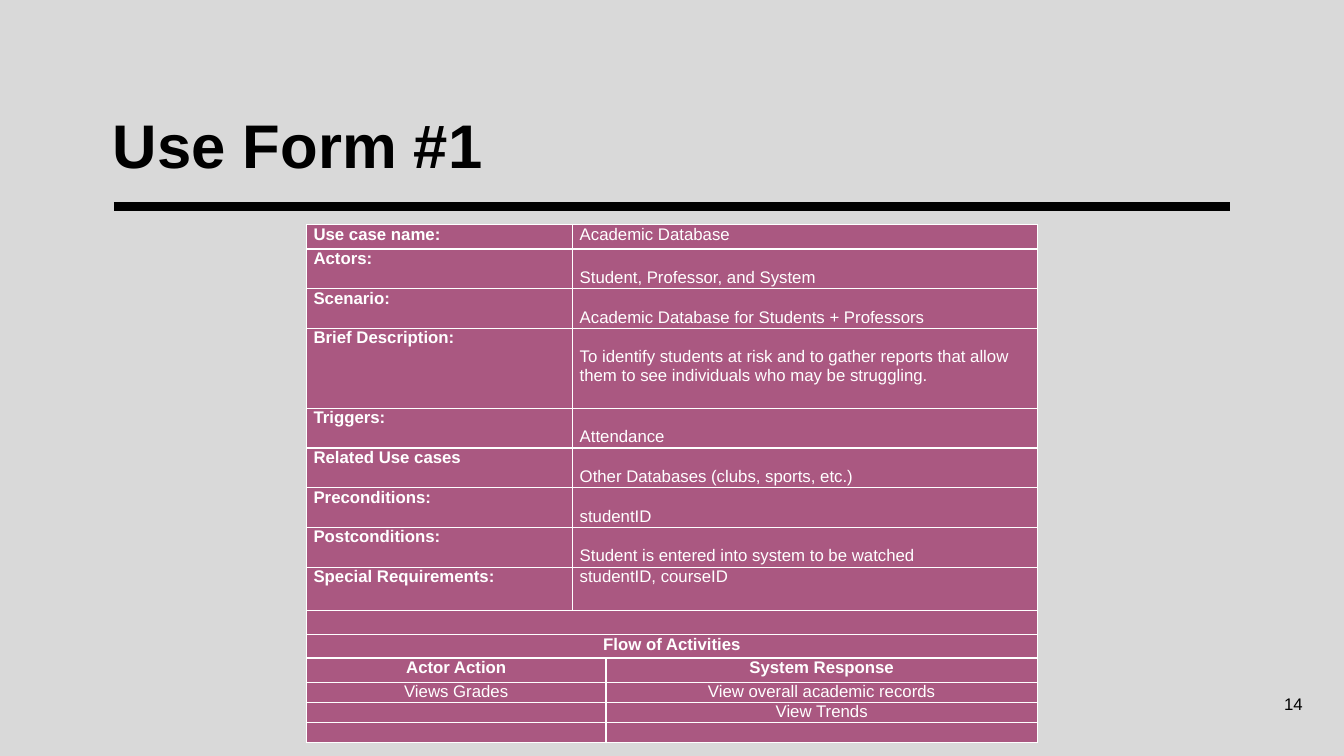
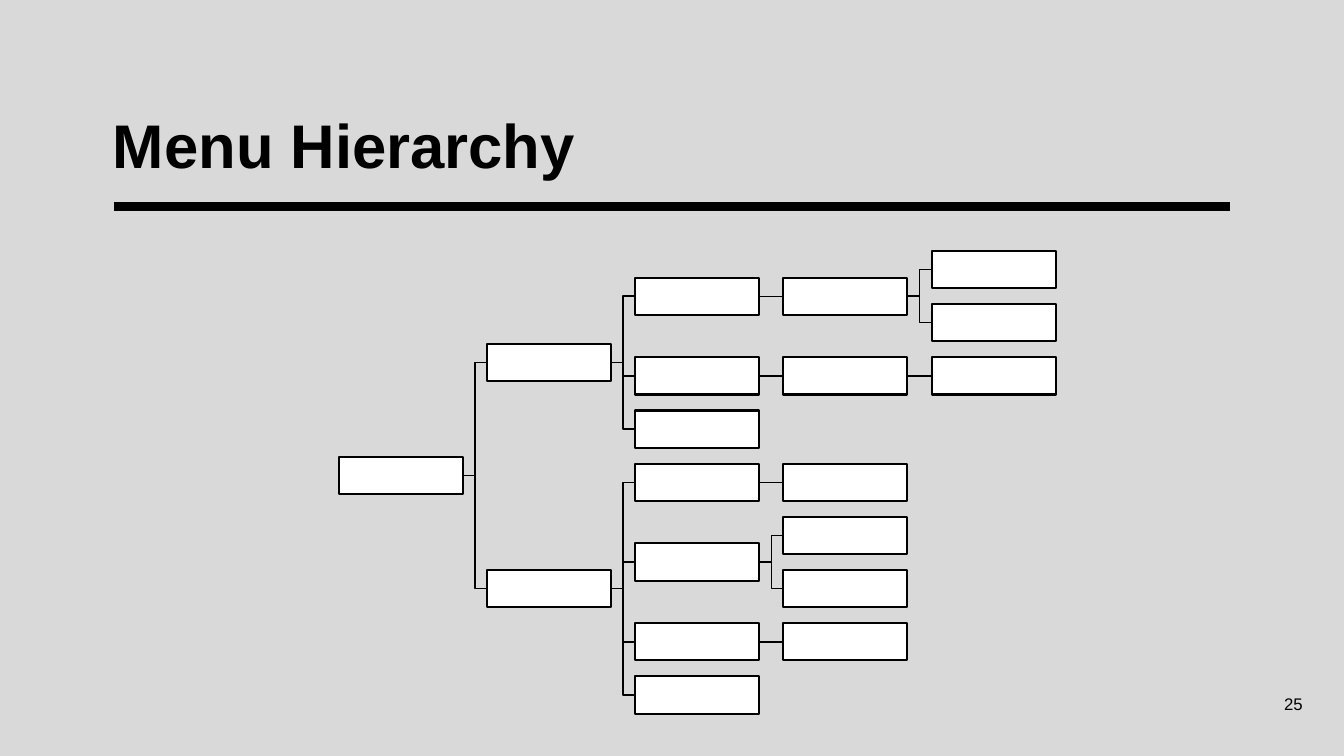
from lxml.etree import SubElement
from pptx import Presentation
from pptx.dml.color import RGBColor
from pptx.enum.shapes import MSO_CONNECTOR as Link, MSO_SHAPE as Shape
from pptx.enum.text import MSO_ANCHOR as Anchor, PP_ALIGN as Align
from pptx.oxml.ns import qn
from pptx.util import Inches, Pt

BLACK = RGBColor(0x00, 0x00, 0x00)
WHITE = RGBColor(0xFF, 0xFF, 0xFF)
GREY = RGBColor(0xD9, 0xD9, 0xD9)
PLUM = RGBColor(0xAA, 0x58, 0x81)
FONT = "Arial"

# Use form: label, value, row height, gap above the value
LINE = Inches(0.19)
DOUBLE = Inches(0.79)
SINGLE = DOUBLE // 2
DETAILS = [
    ("Use case name:", "Academic Database", Inches(0.24), 0),
    ("Actors:", "Student, Professor, and System", SINGLE, LINE),
    ("Scenario:", "Academic Database for Students + Professors", SINGLE, LINE),
    ("Brief Description:",
     "To identify students at risk and to gather reports that allow them "
     "to see individuals who may be struggling.", DOUBLE, LINE),
    ("Triggers:", "Attendance", SINGLE, LINE),
    ("Related Use cases", "Other Databases (clubs, sports, etc.)", SINGLE, LINE),
    ("Preconditions:", "studentID", SINGLE, LINE),
    ("Postconditions:", "Student is entered into system to be watched", SINGLE, LINE),
    ("Special Requirements:", "studentID, courseID", Inches(0.43), 0),
]
BANNERS = [("", Inches(0.24)), ("Flow of Activities", Inches(0.23))]
ACTIVITIES = [
    ("Actor Action", "System Response", Inches(0.24)),
    ("Views Grades", "View overall academic records", Inches(0.2)),
    ("", "View Trends", Inches(0.2)),
    ("", "", Inches(0.2)),
]
COLUMN_WIDTHS = [Inches(2.64), Inches(0.33), Inches(4.28)]

# Menu hierarchy: each menu is the list of its submenus
MENU = [
    [[[[], []]], [[[]]], []],
    [[[]], [[], []], [[]], []],
]
MENU_LEFT, MENU_STEP = Inches(3.36), Inches(1.47)
BOX_W, BOX_H = Inches(1.23), Inches(0.37)
LEAF_TOP, LEAF_STEP = Inches(2.49), Inches(4.22) // 8


def style(paragraph, size, color, bold=False, align=Align.LEFT):
    paragraph.alignment = align
    font = paragraph.font
    font.name, font.size, font.bold = FONT, Pt(size), bold
    font.color.rgb = color


def add_text(slide, text, left, top, width, height, anchor):
    frame = slide.shapes.add_textbox(left, top, width, height).text_frame
    frame.word_wrap = True
    frame.vertical_anchor = anchor
    frame.margin_left = frame.margin_right = 0
    frame.margin_top = frame.margin_bottom = 0
    paragraph = frame.paragraphs[0]
    paragraph.text = text
    return paragraph


def add_line(slide, kind, weight, *ends):
    line = slide.shapes.add_connector(kind, *ends)
    line.line.color.rgb = BLACK
    line.line.width = Pt(weight)
    SubElement(line._element.spPr, qn("a:effectLst"))
    return line


def add_slide(prs, title, number):
    slide = prs.slides.add_slide(prs.slide_layouts[6])
    slide.background.fill.solid()
    slide.background.fill.fore_color.rgb = GREY
    add_line(slide, Link.STRAIGHT, 6,
             Inches(1.13), Inches(2.05), Inches(12.2), Inches(2.05))
    heading = add_text(slide, title, Inches(1.12), Inches(1.09),
                       Inches(8.54), Inches(0.71), Anchor.BOTTOM)
    heading.line_spacing = 0.9
    style(heading, 44, BLACK, bold=True)
    page = add_text(slide, str(number), Inches(12.47), Inches(6.88),
                    Inches(0.45), Inches(0.2), Anchor.MIDDLE)
    style(page, 12, BLACK, align=Align.RIGHT)
    return slide


def fill_cell(cell, text, bold=False, align=Align.LEFT, gap=0):
    cell.margin_left = cell.margin_right = Inches(0.07)
    cell.margin_top, cell.margin_bottom = gap, 0
    paragraph = cell.text_frame.paragraphs[0]
    paragraph.text = text
    style(paragraph, 12, WHITE, bold, align)
    if not text:  # an empty cell takes its line height from the end mark
        SubElement(paragraph._p, qn("a:endParaRPr"), sz="1200")


def paint_cell(cell):
    properties = cell._tc.get_or_add_tcPr()
    for side in ("a:lnL", "a:lnR", "a:lnT", "a:lnB"):
        border = SubElement(properties, qn(side), w=str(Pt(1)))
        solid = SubElement(border, qn("a:solidFill"))
        SubElement(solid, qn("a:srgbClr"), val=str(WHITE))
    cell.fill.solid()
    cell.fill.fore_color.rgb = PLUM


def add_use_form(slide):
    heights = [row[2] for row in DETAILS]
    heights += [height for _, height in BANNERS]
    heights += [row[2] for row in ACTIVITIES]
    table = slide.shapes.add_table(
        len(heights), len(COLUMN_WIDTHS), Inches(3.04), Inches(2.23),
        sum(COLUMN_WIDTHS), sum(heights)).table
    table.first_row = table.horz_banding = False
    for column, width in zip(table.columns, COLUMN_WIDTHS):
        column.width = width
    for row, height in zip(table.rows, heights):
        row.height = height
    for cell in table.iter_cells():
        fill_cell(cell, "")
        paint_cell(cell)

    for r, (label, value, _, gap) in enumerate(DETAILS):
        table.cell(r, 1).merge(table.cell(r, 2))
        fill_cell(table.cell(r, 0), label, bold=True)
        fill_cell(table.cell(r, 1), value, gap=gap)
    for r, (banner, _) in enumerate(BANNERS, len(DETAILS)):
        table.cell(r, 0).merge(table.cell(r, 2))
        fill_cell(table.cell(r, 0), banner, True, Align.CENTER)
    head = len(DETAILS) + len(BANNERS)
    for r, (action, response, _) in enumerate(ACTIVITIES, head):
        table.cell(r, 0).merge(table.cell(r, 1))
        fill_cell(table.cell(r, 0), action, r == head, Align.CENTER)
        fill_cell(table.cell(r, 2), response, r == head, Align.CENTER)


def add_menu(slide, submenus, depth, leaf_tops):
    """Draw a menu midway between its first and last submenu; return its box."""
    children = [add_menu(slide, sub, depth + 1, leaf_tops) for sub in submenus]
    if children:
        top = (children[0].top + children[-1].top) // 2
    else:
        top = next(leaf_tops)
    box = slide.shapes.add_shape(
        Shape.RECTANGLE, MENU_LEFT + depth * MENU_STEP, top, BOX_W, BOX_H)
    box.shadow.inherit = False
    box.fill.solid()
    box.fill.fore_color.rgb = WHITE
    box.line.color.rgb = BLACK
    box.line.width = Pt(1.5)
    for child in children:
        kind = Link.STRAIGHT if child.top == top else Link.ELBOW
        link = add_line(slide, kind, 1, 0, 0, 0, 0)
        link.begin_connect(box, 3)
        link.end_connect(child, 1)
    return box


def main():
    prs = Presentation()
    prs.slide_width, prs.slide_height = Inches(13.33), Inches(7.5)
    add_use_form(add_slide(prs, "Use Form #1", 14))
    leaf_tops = (LEAF_TOP + i * LEAF_STEP for i in range(9))
    add_menu(add_slide(prs, "Menu Hierarchy", 25), MENU, 0, leaf_tops)
    prs.save("out.pptx")


if __name__ == "__main__":
    main()
